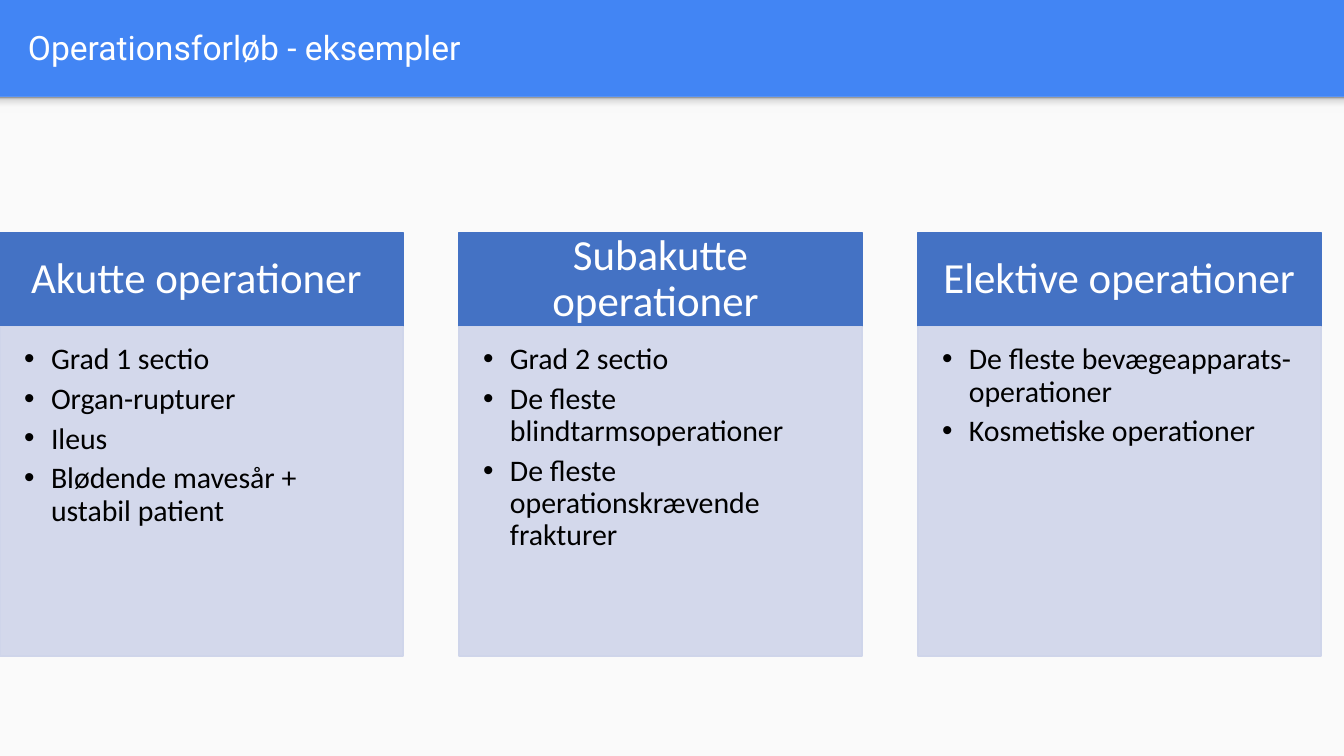
import pptx
import pptx.dml.color
import pptx.enum.shapes
import pptx.enum.text
import pptx.oxml.ns
import pptx.util
from lxml import etree

Inches = pptx.util.Inches
Pt = pptx.util.Pt
qn = pptx.oxml.ns.qn
ALIGN = pptx.enum.text.PP_ALIGN
ANCHOR = pptx.enum.text.MSO_ANCHOR


def color(value):
    return pptx.dml.color.RGBColor.from_string(value)


class SlideBuilder:
    """Holds the style and the current slide, with a method for each element."""

    header_blue = "4285F4"
    paper = "FAFAFA"
    heading_blue = "4472C4"
    panel_blue = "CFD5EA"
    white = "FFFFFF"
    black = "000000"
    title_font = "Roboto"
    body_font = "Calibri"

    def __init__(self, page):
        self.page = page
        page.background.fill.solid()
        page.background.fill.fore_color.rgb = color(self.header_blue)

    def rectangle(self, left, top, width, height, fill, line=None, opacity=100):
        box = self.page.shapes.add_shape(
            pptx.enum.shapes.MSO_SHAPE.RECTANGLE,
            Inches(left), Inches(top), Inches(width), Inches(height))
        box.shadow.inherit = False
        box.fill.solid()
        box.fill.fore_color.rgb = color(fill)
        if opacity < 100:
            tone = box._element.spPr.find(qn("a:solidFill"))[0]
            etree.SubElement(tone, qn("a:alpha"), val=str(opacity * 1000))
        if line:
            box.line.color.rgb = color(line)
            box.line.width = Pt(1)
        else:
            box.line.fill.background()
        return box

    def header_shadow(self, top, height, stops):
        box = self.rectangle(0, top, 10, height, self.paper)
        box.fill.gradient()
        box.fill.gradient_angle = 90
        stop_list = next(box._element.spPr.iter(qn("a:gsLst")))
        for stop in list(stop_list):
            stop_list.remove(stop)
        for position, value in stops:
            stop = etree.SubElement(stop_list, qn("a:gs"), pos=str(position * 1000))
            etree.SubElement(stop, qn("a:srgbClr"), val=value)

    def frame(self, box, insets, anchor):
        frame = box.text_frame
        frame.word_wrap = True
        frame.vertical_anchor = anchor
        (frame.margin_left, frame.margin_top,
         frame.margin_right, frame.margin_bottom) = map(Inches, insets)
        return frame

    def format(self, para, font, size, ink, align=ALIGN.LEFT):
        para.alignment = align
        for span in para.runs:
            span.font.name = font
            span.font.size = Pt(size)
            span.font.color.rgb = color(ink)

    def title(self, text):
        box = self.page.shapes.add_textbox(
            Inches(0.11), Inches(0.02), Inches(9.65), Inches(0.66))
        frame = self.frame(box, (0.1, 0.1, 0.1, 0.1), ANCHOR.MIDDLE)
        frame.text = text
        self.format(frame.paragraphs[0], self.title_font, 18, self.white)

    def heading(self, left, top, width, height, text):
        box = self.rectangle(left, top, width, height, self.heading_blue, self.heading_blue)
        frame = self.frame(box, (0.18, 0.1, 0.18, 0.1), ANCHOR.MIDDLE)
        frame.text = text
        para = frame.paragraphs[0]
        para.line_spacing = 0.9
        self.format(para, self.body_font, 23, self.white, ALIGN.CENTER)

    def bullet_panel(self, left, top, width, height, items):
        box = self.rectangle(left, top, width, height, self.panel_blue, self.panel_blue, 90)
        frame = self.frame(box, (0.13, 0.13, 0.18, 0.2), ANCHOR.TOP)
        frame.text = "\n".join(items)
        for index, para in enumerate(frame.paragraphs):
            para.level = 1
            para.line_spacing = 0.9
            para.space_before = Pt(4 if index else 0)
            properties = para._p.get_or_add_pPr()
            properties.set("marL", str(Inches(0.25)))
            properties.set("indent", str(Inches(-0.2)))
            tone = etree.SubElement(properties, qn("a:buClr"))
            etree.SubElement(tone, qn("a:srgbClr"), val=self.black)
            etree.SubElement(properties, qn("a:buFont"), typeface="Arial")
            etree.SubElement(properties, qn("a:buChar"), char="•")
            self.format(para, self.body_font, 16, self.black)


def main():
    deck = pptx.Presentation()
    deck.slide_width = Inches(10)
    deck.slide_height = Inches(10 * 9 / 16)
    builder = SlideBuilder(deck.slides.add_slide(deck.slide_layouts[6]))

    builder.rectangle(0, 0.72, 10, 4.91, builder.paper)
    builder.header_shadow(
        0.72, 0.12, [(0, "F9F9F9"), (36, "F9F9F9"), (80, "DEDEDE"), (100, "999999")])
    builder.title("Operationsforløb - eksempler")

    columns = [
        ("Akutte operationer ",
         ["Grad 1 sectio", "Organ-rupturer", "Ileus",
          "Blødende mavesår + ustabil patient"]),
        ("Subakutte operationer ",
         ["Grad 2 sectio", "De fleste blindtarmsoperationer",
          "De fleste operationskrævende frakturer"]),
        ("Elektive operationer ",
         ["De fleste bevægeapparats-operationer", "Kosmetiske operationer"]),
    ]
    width, right_edge = 3, 9.83
    pitch = (right_edge - width) / (len(columns) - 1)
    top, heading_height, panel_height = 1.73, 0.7, 2.45
    for index, (heading, items) in enumerate(columns):
        left = index * pitch
        builder.heading(left, top, width, heading_height, heading)
        builder.bullet_panel(left, top + heading_height, width, panel_height, items)

    deck.save("out.pptx")


if __name__ == "__main__":
    main()
